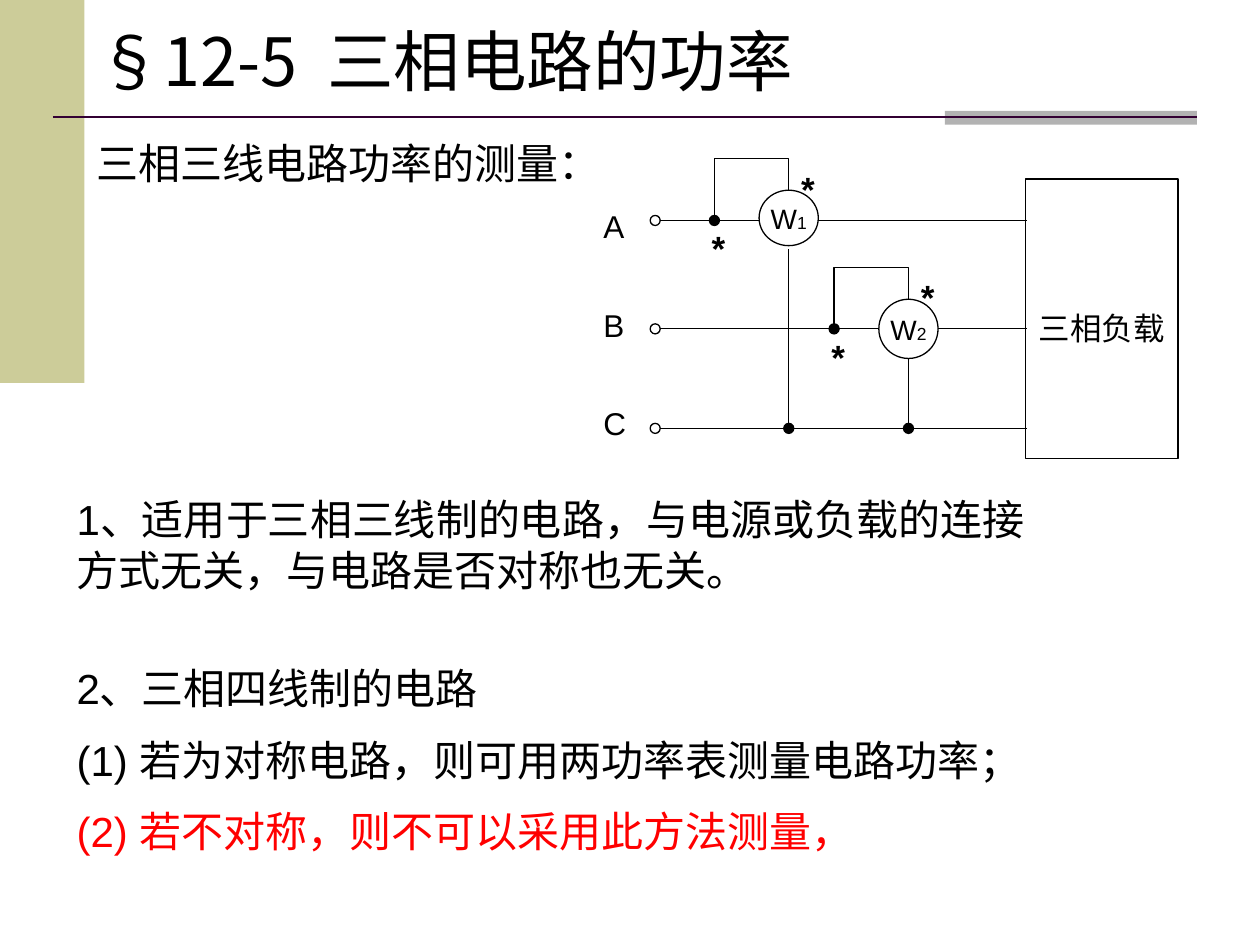
from typing import NamedTuple, Optional

from lxml import etree
from pptx import Presentation
from pptx.dml.color import RGBColor
from pptx.enum import shapes, text
from pptx.oxml import ns
from pptx.util import Inches, Pt

BLACK = RGBColor(0, 0, 0)
RED = RGBColor(0xFF, 0, 0)
KHAKI = RGBColor(0xCC, 0xCC, 0x99)
GRAY = RGBColor(0xB2, 0xB2, 0xB2)
PLUM = RGBColor(0x33, 0, 0x33)
BODY_FONT = "Arial"
CJK_FONT = "Noto Sans CJK SC"
RECTANGLE = shapes.MSO_SHAPE.RECTANGLE
OVAL = shapes.MSO_SHAPE.OVAL

TERMINAL_X = 5.2
LOAD_X = 8.15
DOT_SIZE = 0.08
BRIDGE_RISE = 0.45


class Phase(NamedTuple):
    name: str
    y: float
    label_top: float


class Wattmeter(NamedTuple):
    number: str
    x: float
    y: float
    height: float
    tap_x: float
    drop_top: float
    stars: tuple


PHASES = [Phase("A", 1.75, 1.59), Phase("B", 2.61, 2.38), Phase("C", 3.4, 3.16)]
METER_WIDTH = 0.47
METERS = [
    Wattmeter("1", 6.26, 1.73, 0.44, 5.67, 1.98, ((6.26, 1.28), (5.55, 1.75))),
    Wattmeter("2", 7.21, 2.61, 0.47, 6.62, 2.85, ((7.21, 2.14), (6.5, 2.61))),
]

presentation = Presentation()
presentation.slide_width = Inches(10)
presentation.slide_height = Inches(7.5)
slide = presentation.slides.add_slide(presentation.slide_layouts[6])


def format_run(run, size: float, color: RGBColor = BLACK,
               font: str = BODY_FONT, bold: bool = False) -> None:
    run.font.size = Pt(size)
    run.font.color.rgb = color
    run.font.name = font
    run.font.bold = bold
    east_asian = etree.SubElement(run._r.get_or_add_rPr(), ns.qn("a:ea"))
    east_asian.set("typeface", font)


def add_text(left: float, top: float, width: float, height: float, words: str,
             size: float, font: str = BODY_FONT, bold: bool = False):
    box = slide.shapes.add_textbox(*map(Inches, (left, top, width, height)))
    frame = box.text_frame
    frame.word_wrap = True
    frame.text = words
    for paragraph in frame.paragraphs:
        for run in paragraph.runs:
            format_run(run, size, font=font, bold=bold)
    return frame


def add_figure(kind, left: float, top: float, width: float, height: float,
               fill: Optional[RGBColor] = None, outlined: bool = True):
    shape = slide.shapes.add_shape(kind, *map(Inches, (left, top, width, height)))
    shape.shadow.inherit = False
    if fill is None:
        shape.fill.background()
    else:
        shape.fill.solid()
        shape.fill.fore_color.rgb = fill
    if outlined:
        shape.line.color.rgb = BLACK
        shape.line.width = Pt(0.75)
    else:
        shape.line.fill.background()
    return shape


def add_line(x1: float, y1: float, x2: float, y2: float, color: RGBColor = BLACK,
             width: float = 0.75, kind=shapes.MSO_CONNECTOR.STRAIGHT):
    line = slide.shapes.add_connector(kind, *map(Inches, (x1, y1, x2, y2)))
    line.line.color.rgb = color
    line.line.width = Pt(width)
    etree.SubElement(line._element.spPr, ns.qn("a:effectLst"))
    return line


def add_bridge(x1: float, y1: float, x2: float, y2: float) -> None:
    """Join two points by an elbow that rises above both of them."""
    span, drop = x2 - x1, y1 - y2
    middle_x, middle_y = (x1 + x2) / 2, (y1 + y2) / 2
    elbow = add_line(middle_x - drop / 2, middle_y - span / 2,
                     middle_x + drop / 2, middle_y + span / 2,
                     kind=shapes.MSO_CONNECTOR.ELBOW)
    properties = elbow._element.spPr
    properties.find(ns.qn("a:xfrm")).set("rot", str(270 * 60000))
    geometry = properties.find(ns.qn("a:prstGeom"))
    guides = geometry.find(ns.qn("a:avLst"))
    if guides is None:
        guides = etree.SubElement(geometry, ns.qn("a:avLst"))
    guide = etree.SubElement(guides, ns.qn("a:gd"))
    guide.set("name", "adj1")
    guide.set("fmla", f"val {round(BRIDGE_RISE / drop * 100000)}")


def add_dot(x: float, y: float, fill: Optional[RGBColor] = BLACK) -> None:
    add_figure(OVAL, x - DOT_SIZE / 2, y - DOT_SIZE / 2, DOT_SIZE, DOT_SIZE, fill)


def center_text(shape, words: str, size: float):
    frame = shape.text_frame
    frame.vertical_anchor = text.MSO_ANCHOR.MIDDLE
    frame.word_wrap = False
    frame.text = words
    paragraph = frame.paragraphs[0]
    paragraph.alignment = text.PP_ALIGN.CENTER
    format_run(paragraph.runs[0], size)
    return frame


def add_meter(meter: Wattmeter) -> None:
    top = meter.y - meter.height / 2
    circle = add_figure(OVAL, meter.x - METER_WIDTH / 2, top, METER_WIDTH, meter.height)
    frame = center_text(circle, "W", 16)
    frame.margin_left = frame.margin_right = frame.margin_top = frame.margin_bottom = 0
    number = frame.paragraphs[0].add_run()
    number.text = meter.number
    format_run(number, 10)


def number_paragraph(paragraph) -> None:
    properties = paragraph._p.get_or_add_pPr()
    properties.set("marL", str(Inches(0.5)))
    properties.set("indent", str(-Inches(0.5)))
    etree.SubElement(properties, ns.qn("a:buFont")).set("typeface", CJK_FONT)
    etree.SubElement(properties, ns.qn("a:buAutoNum")).set("type", "arabicParenBoth")


# Slide frame and headings
add_figure(RECTANGLE, 0, 0, 0.67, 3.04, KHAKI, outlined=False)
add_figure(RECTANGLE, 7.5, 0.88, 2, 0.11, GRAY, outlined=False)
add_line(0.42, 0.93, 9.5, 0.93, PLUM, 1.5)
title = add_text(0.67, 0.13, 8.83, 0.69, "§12-5  三相电路的功率", 38, CJK_FONT)
title.vertical_anchor = text.MSO_ANCHOR.MIDDLE
add_text(0.67, 1.04, 4.25, 0.5, "三相三线电路功率的测量：", 24)

# Circuit
load = add_figure(RECTANGLE, 8.14, 1.42, 1.21, 2.22)
center_text(load, "三相负载", 18).margin_top = Inches(0.19)

for phase, meter in zip(PHASES, METERS + [None]):
    wire_start = TERMINAL_X + DOT_SIZE / 2
    if meter:
        add_line(wire_start, phase.y, meter.x - METER_WIDTH / 2, phase.y)
        wire_start = meter.x + METER_WIDTH / 2
    add_line(wire_start, phase.y, LOAD_X, phase.y)
    add_dot(TERMINAL_X, phase.y, None)
    add_text(4.69, phase.label_top, 0.39, 0.4, phase.name, 18)

return_y = PHASES[-1].y
for phase, meter in zip(PHASES, METERS):
    add_meter(meter)
    add_dot(meter.tap_x, phase.y)
    add_bridge(meter.tap_x, phase.y - DOT_SIZE / 2, meter.x, meter.y - meter.height / 2)
    add_line(meter.x, meter.drop_top, meter.x, return_y)
    add_dot(meter.x, return_y)
    for star_left, star_top in meter.stars:
        add_text(star_left, star_top, 0.31, 0.43, "*", 20, bold=True)

# Conclusions
add_text(0.51, 3.87, 7.99, 0.9,
         "1、适用于三相三线制的电路，与电源或负载的连接方式无关，与电路是否对称也无关。", 24)
four_wire = add_text(0.51, 5.21, 8.43, 1.72, "\n".join([
    "2、三相四线制的电路",
    "若为对称电路，则可用两功率表测量电路功率；",
    "若不对称，则不可以采用此方法测量，",
]), 24)
for paragraph in four_wire.paragraphs[1:]:
    paragraph.space_before = Pt(12)
    number_paragraph(paragraph)
four_wire.paragraphs[-1].runs[0].font.color.rgb = RED

presentation.save("out.pptx")
